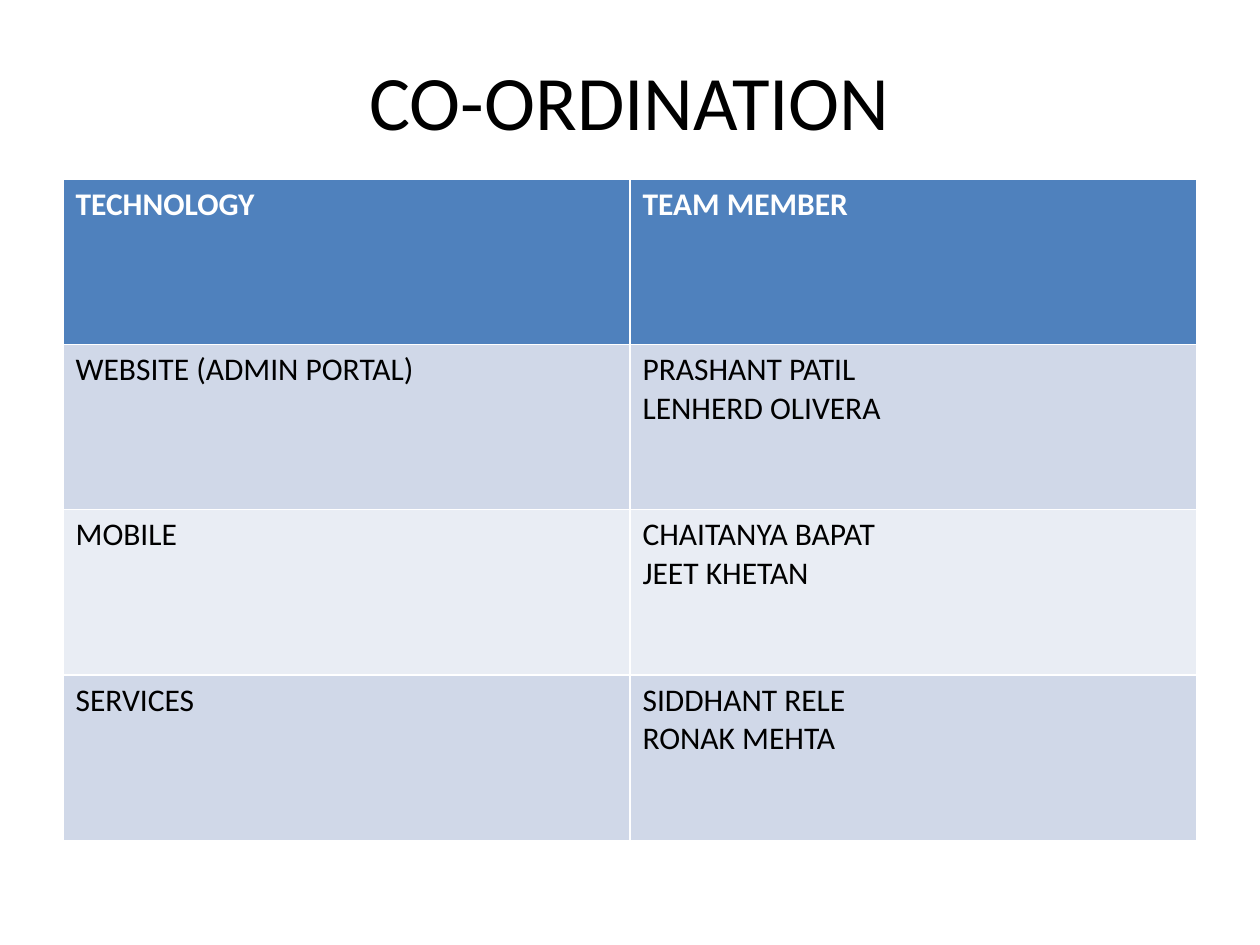
"""Build the co-ordination slide: a title above a table of teams."""
from pptx import Presentation
from pptx.dml.color import RGBColor
from pptx.enum.text import MSO_ANCHOR, PP_ALIGN
from pptx.util import Inches, Pt

MIDDLE, TOP = MSO_ANCHOR.MIDDLE, MSO_ANCHOR.TOP
CENTER, LEFT = PP_ALIGN.CENTER, PP_ALIGN.LEFT
BLACK = RGBColor(0x00, 0x00, 0x00)
WHITE = RGBColor(0xFF, 0xFF, 0xFF)
BLUE = RGBColor(0x4F, 0x81, 0xBD)
BAND = RGBColor(0xD0, 0xD8, 0xE8)
PALE = RGBColor(0xE9, 0xED, 0xF4)

TEAMS = [
    ("TECHNOLOGY", "TEAM MEMBER"),
    ("WEBSITE (ADMIN PORTAL)", "PRASHANT PATIL\nLENHERD OLIVERA"),
    ("MOBILE", "CHAITANYA BAPAT\nJEET KHETAN"),
    ("SERVICES", "SIDDHANT RELE\nRONAK MEHTA"),
]


def write(frame, text, size=18, color=BLACK, bold=False, align=LEFT):
    frame.text = text
    for para in frame.paragraphs:
        para.alignment = align
        for run in para.runs:
            font = run.font
            font.name, font.size, font.bold = "Calibri", Pt(size), bold
            font.color.rgb = color


deck = Presentation()
deck.slide_width, deck.slide_height = Inches(10), Inches(7.5)
slide = deck.slides.add_slide(deck.slide_layouts[5])

title = slide.shapes.title
title.left, title.top = Inches(0.5), Inches(0.17)
title.width, title.height = Inches(9), Inches(1.25)
title.text_frame.vertical_anchor = MIDDLE
write(title.text_frame, "CO-ORDINATION", size=44, align=CENTER)

table = slide.shapes.add_table(
    len(TEAMS), 2, Inches(0.5), Inches(1.42), Inches(9), Inches(5.25)
).table
for row, team in enumerate(TEAMS):
    head = row == 0
    fill = BLUE if head else BAND if row % 2 else PALE
    for col, text in enumerate(team):
        cell = table.cell(row, col)
        cell.fill.solid()
        cell.fill.fore_color.rgb = fill
        cell.vertical_anchor = TOP
        write(cell.text_frame, text, color=WHITE if head else BLACK, bold=head)

deck.save("out.pptx")
